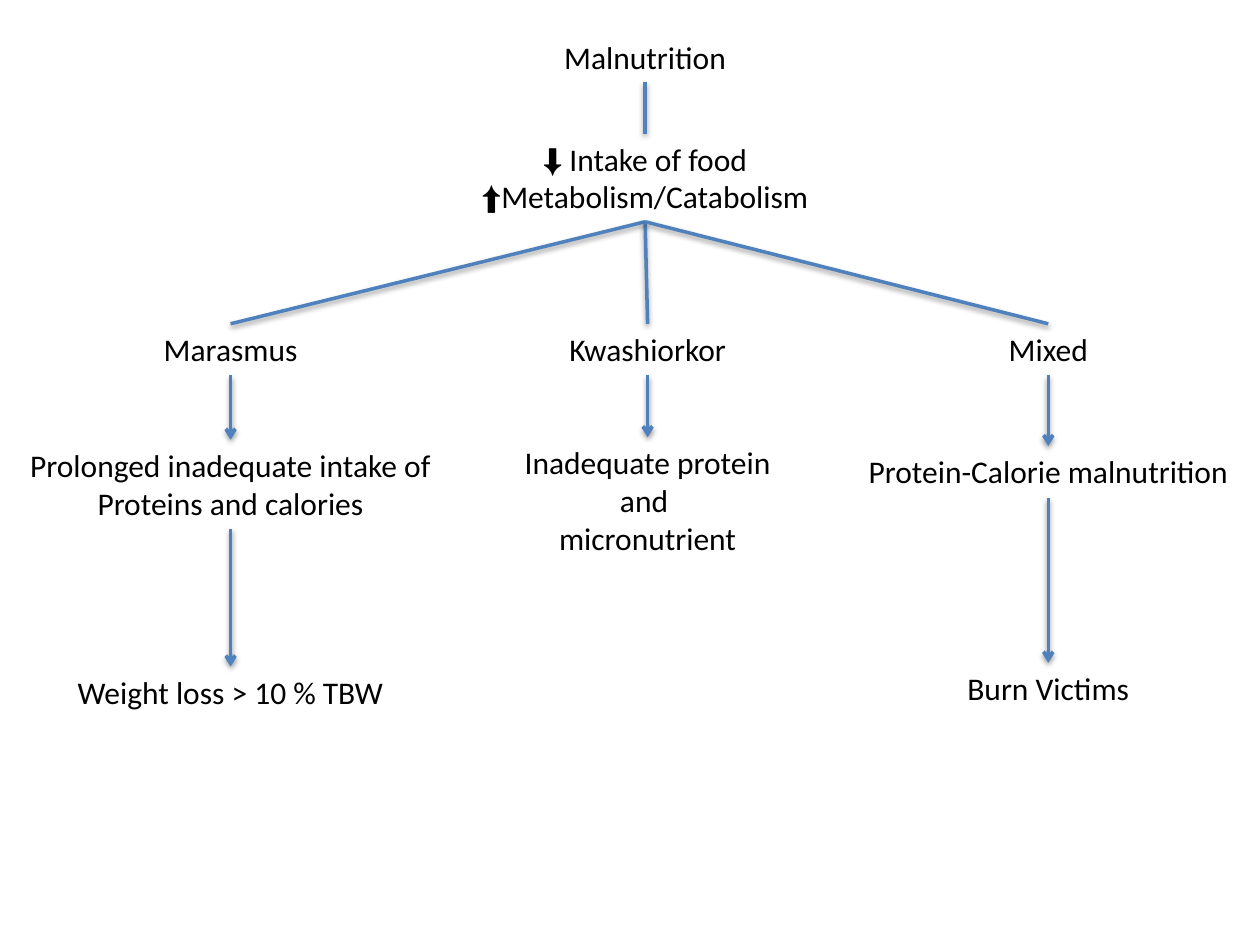
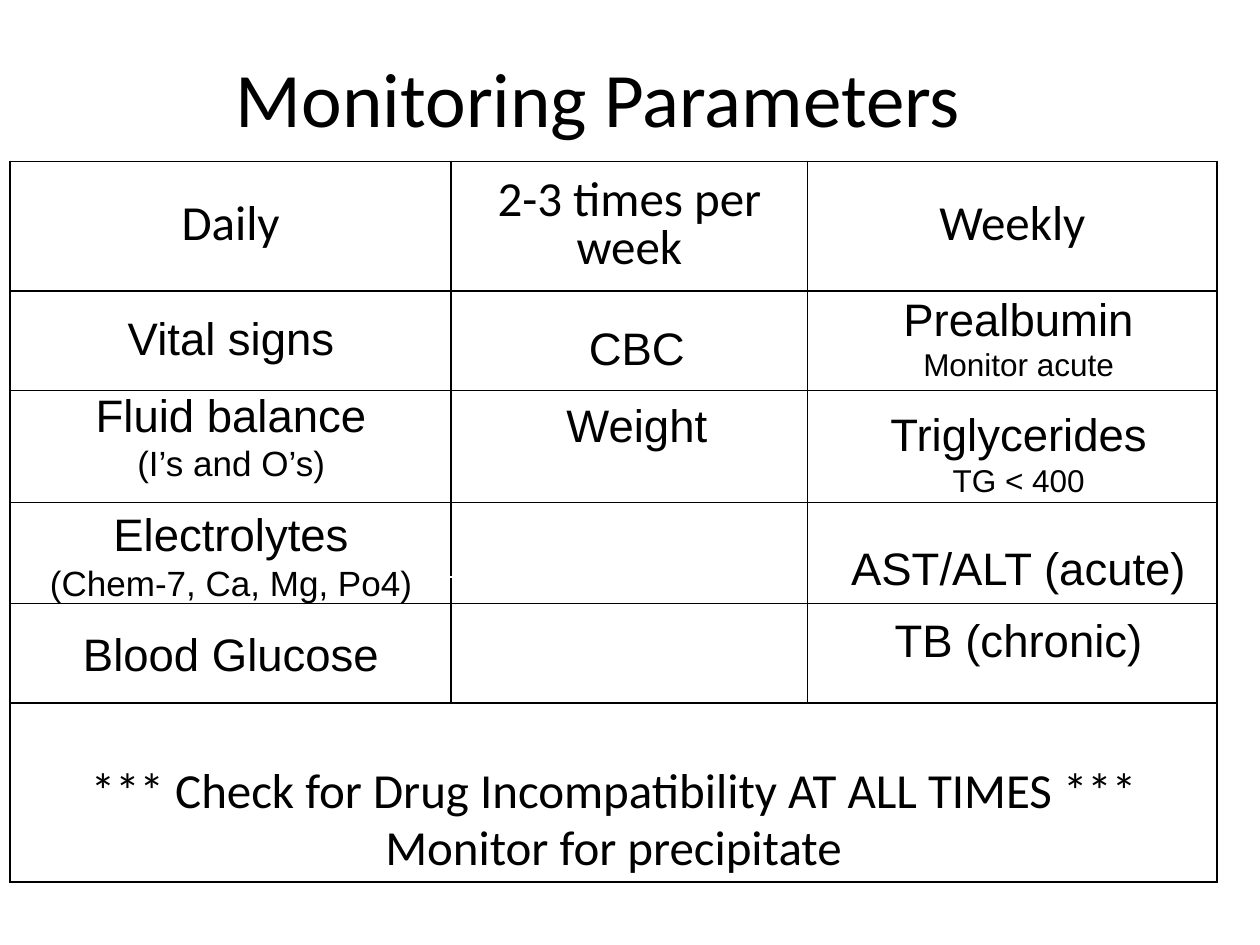
from lxml import etree
from pptx import Presentation
from pptx.dml.color import RGBColor
from pptx.enum.shapes import MSO_CONNECTOR
from pptx.enum.text import MSO_ANCHOR, PP_ALIGN
from pptx.oxml import parse_xml
from pptx.oxml.ns import nsdecls, qn
from pptx.util import Inches, Pt

STRAIGHT = MSO_CONNECTOR.STRAIGHT
CENTER = PP_ALIGN.CENTER
TOP, MIDDLE, BOTTOM = MSO_ANCHOR.TOP, MSO_ANCHOR.MIDDLE, MSO_ANCHOR.BOTTOM

COLORS = {"text": "000000", "link": "4F81BD", "border": "000000", "mask": "FFFFFF"}
BODY, LIST = "Calibri", "Arial"


def write(frame, paragraphs, size=18, font=BODY, anchor=TOP, wrap=True, spacing=None):
    """Each paragraph is a text, or (runs, size, gap before); a run is (text, font)."""
    frame.word_wrap = wrap
    frame.vertical_anchor = anchor
    for i, item in enumerate(paragraphs):
        runs, points, gap = (item, size, 0) if isinstance(item, str) else item
        if isinstance(runs, str):
            runs = [(runs, font)]
        paragraph = frame.paragraphs[0] if i == 0 else frame.add_paragraph()
        paragraph.alignment = CENTER
        if spacing:
            paragraph.line_spacing = spacing
        if gap:
            paragraph.space_before = Pt(gap)
        for text, face in runs:
            run = paragraph.add_run()
            run.text = text
            run.font.size = Pt(points)
            run.font.name = face
            run.font.color.rgb = RGBColor.from_string(COLORS["text"])


def connect(slide, start, end, color="link", width=2, head=None, shadow=True):
    line = slide.shapes.add_connector(STRAIGHT, *(Inches(v) for v in start + end))
    line.line.color.rgb = RGBColor.from_string(COLORS[color])
    line.line.width = Pt(width)
    if head:
        etree.SubElement(line.line._get_or_add_ln(), qn("a:tailEnd"), type=head)
    effects = etree.SubElement(line._element.spPr, qn("a:effectLst"))
    if shadow:
        effects.append(parse_xml(
            f'<a:outerShdw {nsdecls("a")} blurRad="{Pt(3.1)}" dist="{Pt(1.6)}" dir="5400000" '
            'rotWithShape="0"><a:srgbClr val="000000"><a:alpha val="38000"/></a:srgbClr>'
            '</a:outerShdw>'))


prs = Presentation()
prs.slide_width, prs.slide_height = Inches(10), Inches(7.5)
blank = prs.slide_layouts[6]

# Slide 1: malnutrition tree
tree = prs.slides.add_slide(blank)
ROOT, MARASMUS, KWASHIORKOR, MIXED = 5.12, 1.83, 5.14, 8.32
causes = [([("⬇", LIST), (" Intake of food", BODY)], 18, 0),
          ([("⬆", LIST), ("Metabolism/Catabolism", BODY)], 18, 0)]
nodes = [  # centre, top, width, lines
    (ROOT, 0.25, 1.5, ["Malnutrition"]),
    (ROOT, 1.06, 2.9, causes),
    (MARASMUS, 2.57, 1.28, ["Marasmus"]),
    (KWASHIORKOR, 2.57, 1.48, ["Kwashiorkor"]),
    (MIXED, 2.57, 0.84, ["Mixed"]),
    (MARASMUS, 3.49, 3.44, ["Prolonged inadequate intake of", "Proteins and calories"]),
    (KWASHIORKOR, 3.47, 2.19, ["Inadequate protein ", "and ", "micronutrient"]),
    (MIXED, 3.54, 3.09, ["Protein-Calorie malnutrition"]),
    (MARASMUS, 5.29, 2.67, ["Weight loss > 10 % TBW"]),
    (MIXED, 5.26, 1.5, ["Burn Victims"]),
]
for center, top, width, lines in nodes:
    box = tree.shapes.add_textbox(Inches(center - width / 2), Inches(top),
                                  Inches(width), Inches(0.1 + 0.3 * len(lines)))
    write(box.text_frame, lines, wrap=False)

# Branches from the root
connect(tree, (ROOT, 0.65), (ROOT, 1.06))
for branch in (MARASMUS, KWASHIORKOR, MIXED):
    connect(tree, (ROOT, 1.76), (branch, 2.57))

# Arrows down each branch
for branch, top, bottom in [(MARASMUS, 2.98, 3.49), (KWASHIORKOR, 2.98, 3.47),
                            (MIXED, 2.98, 3.54), (MARASMUS, 4.2, 5.29),
                            (MIXED, 3.95, 5.26)]:
    connect(tree, (branch, top), (branch, bottom), head="arrow")

# Slide 2: monitoring table
monitoring = prs.slides.add_slide(blank)
column_widths = [3.5, 2.83, 3.25]
row_heights = [1.03, 0.79, 0.89, 0.8, 0.79, 1.42]
table = monitoring.shapes.add_table(
    len(row_heights), len(column_widths), Inches(0.08), Inches(1.28),
    Inches(sum(column_widths)), Inches(sum(row_heights))).table
table.first_row = table.horz_banding = False
for column, width in zip(table.columns, column_widths):
    column.width = Inches(width)
for row, height in zip(table.rows, row_heights):
    row.height = Inches(height)

for cell in table.iter_cells():
    cell.fill.background()
    for i, side in enumerate(("lnL", "lnR", "lnT", "lnB")):
        cell._tc.tcPr.insert(i, parse_xml(
            f'<a:{side} {nsdecls("a")} w="{Pt(1)}"><a:solidFill>'
            f'<a:srgbClr val="{COLORS["border"]}"/></a:solidFill></a:{side}>'))

for i, heading in enumerate(["Daily", "2-3 times per week", "Weekly"]):
    header = table.cell(0, i)
    write(header.text_frame, [heading], size=28, spacing=0.8)
    header.vertical_anchor = MIDDLE

warning = table.cell(5, 0)
warning.merge(table.cell(5, 2))
write(warning.text_frame, ["*** Check for Drug Incompatibility AT ALL TIMES ***",
                           ("Monitor for precipitate", 28, 5.6)], size=28, spacing=0.8)
warning.vertical_anchor = BOTTOM

# Title
title = monitoring.shapes.add_textbox(Inches(0.25), Inches(0.25), Inches(9), Inches(1.03))
write(title.text_frame, ["Monitoring Parameters"], size=44, anchor=MIDDLE)

# White line across the column border
connect(monitoring, (3.08, 4.58), (4.5, 4.58), color="mask", width=0.75,
        head="triangle", shadow=False)

# Parameters listed over the columns
checks = [  # left, top, width, height, lines
    (0.25, 2.41, 3.17, 3.47, ["Vital signs", ("Fluid balance", 26, 13),
                              ("(I’s and O’s)", 20, 0), ("Electrolytes", 26, 13),
                              ("(Chem-7, Ca, Mg, Po4)", 20, 0), ("Blood Glucose", 26, 13)]),
    (3.64, 2.49, 2.83, 1.14, ["CBC", ("Weight", 26, 13)]),
    (6.5, 2.26, 3.17, 3.06, ["Prealbumin", ("Monitor acute", 18, 0),
                             ("Triglycerides", 26, 13), ("TG < 400", 18, 0),
                             ("AST/ALT (acute)", 26, 23.5), ("TB (chronic)", 26, 10.5)]),
]
for left, top, width, height, lines in checks:
    box = monitoring.shapes.add_textbox(Inches(left), Inches(top), Inches(width), Inches(height))
    write(box.text_frame, lines, size=26, font=LIST)

prs.save("out.pptx")
